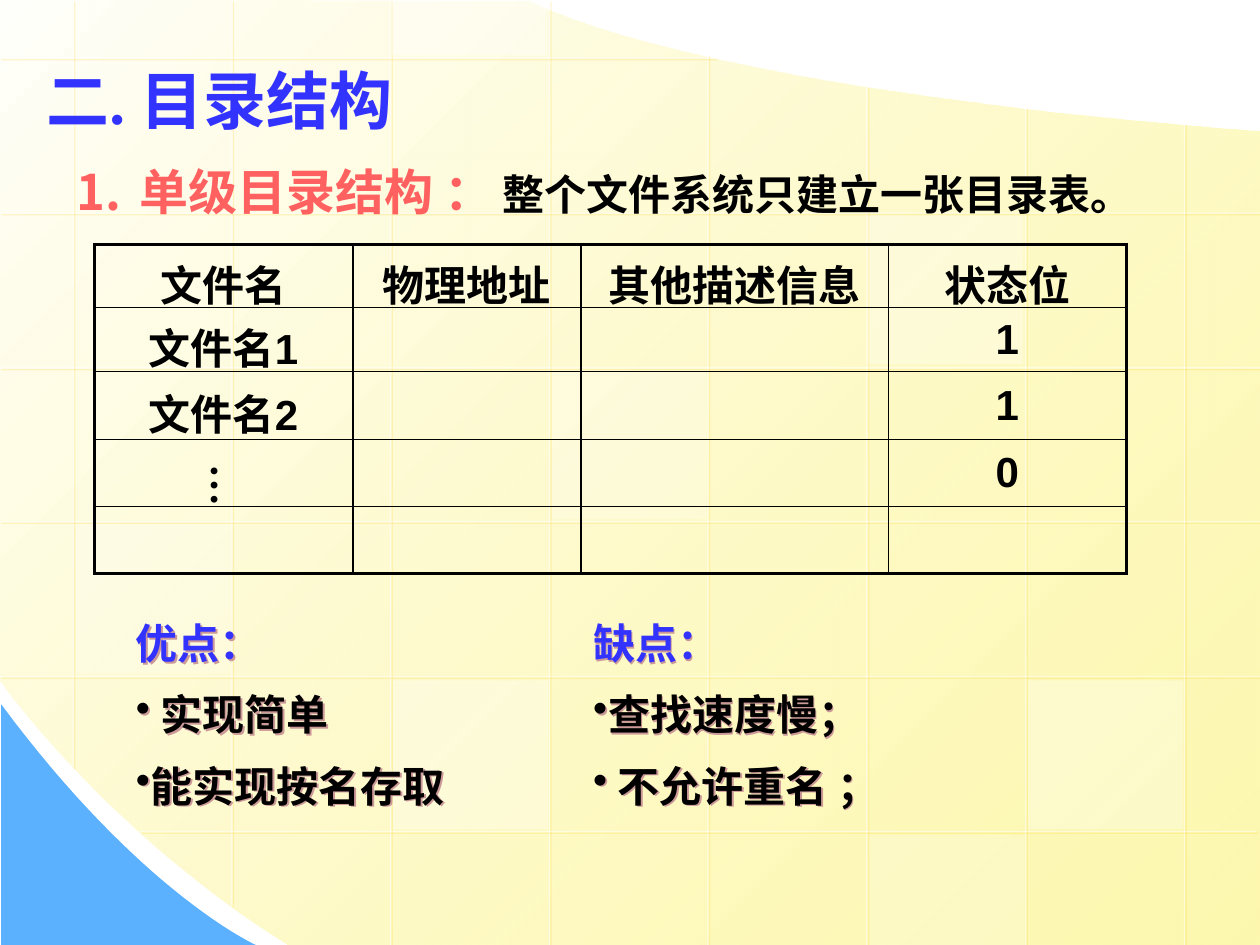
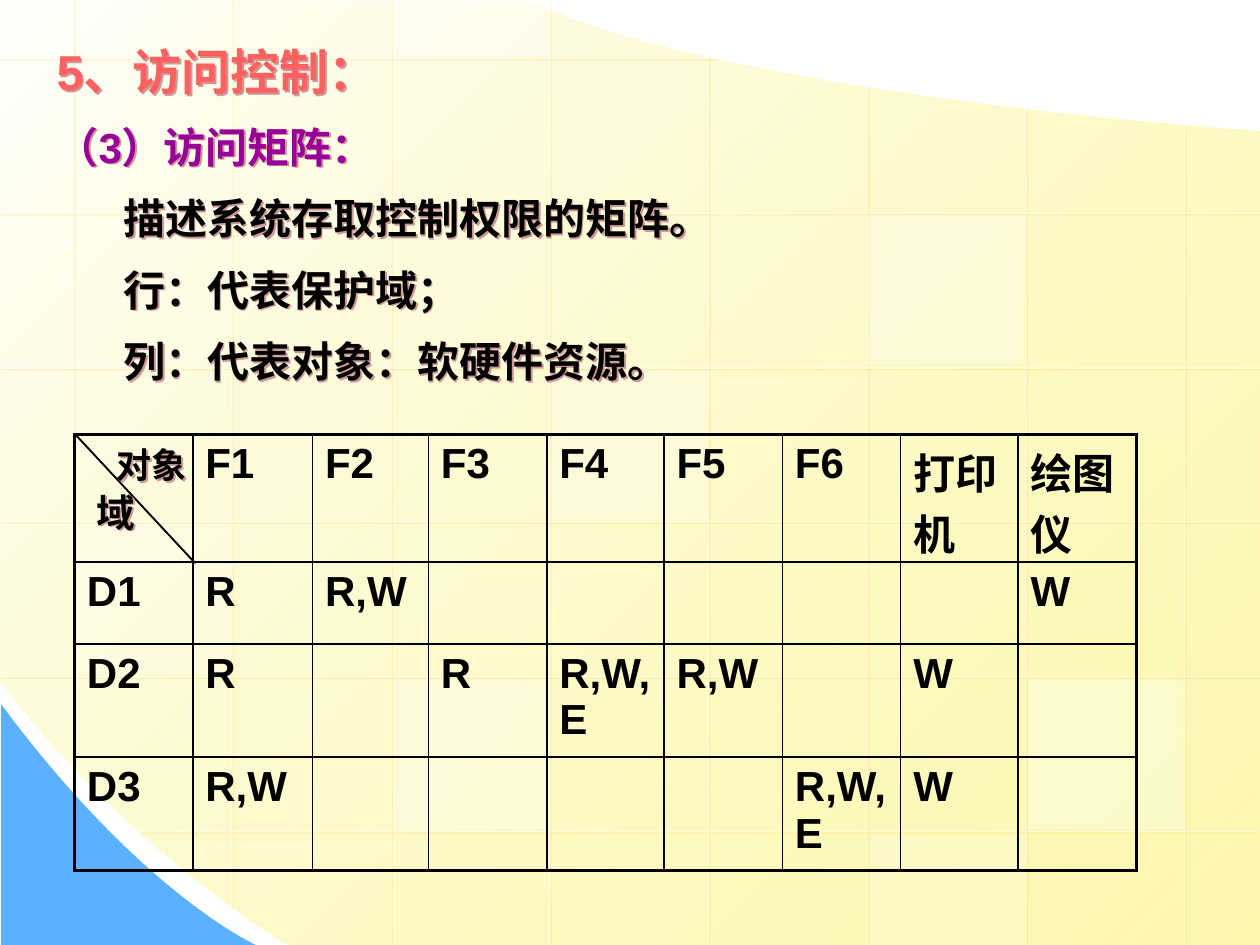
"""Build two slides on single-level file directories and the access matrix."""
from itertools import product

from pptx import Presentation
from pptx.dml.color import RGBColor
from pptx.enum.shapes import MSO_CONNECTOR, MSO_SHAPE
from pptx.enum.text import MSO_ANCHOR, MSO_AUTO_SIZE, PP_ALIGN
from pptx.oxml import parse_xml
from pptx.oxml.ns import nsdecls, qn
from pptx.util import Pt

PX = 9144
STRAIGHT = MSO_CONNECTOR.STRAIGHT
RECTANGLE = MSO_SHAPE.RECTANGLE
FIT_SHAPE = MSO_AUTO_SIZE.SHAPE_TO_FIT_TEXT
TOP, MIDDLE = MSO_ANCHOR.TOP, MSO_ANCHOR.MIDDLE
LEFT, CENTER = PP_ALIGN.LEFT, PP_ALIGN.CENTER


class Theme:
    black = "000000"
    white = "FFFFFF"
    blue = "3333FF"
    coral = "FF6161"
    purple = "990099"
    sky = "5CB1FE"
    cream = "FFFFFB"
    yellow = "FDF58D"
    gold = "FFCC00"
    text_shadow = "CC9999"
    sans = "Arial"
    serif = "Times New Roman"
    title = 36
    heading = 28
    body = 24
    domain_label = 22
    object_label = 20
    paragraph_gap_percent = 50
    outer_border = 2.25
    inner_border = 1


def cast_shadow(shape, color, alpha):
    """Give a shape a short diagonal shadow."""
    shape._element.spPr.append(parse_xml(
        f'<a:effectLst {nsdecls("a")}><a:outerShdw dist="17960" dir="2700000" '
        f'algn="ctr" rotWithShape="0"><a:srgbClr val="{color}">'
        f'<a:alpha val="{alpha * 1000}"/></a:srgbClr></a:outerShdw></a:effectLst>'))


def add_text(slide, box, face, paragraphs, shadowed):
    """Add a text box of (runs, bullet XML, left margin, first indent) paragraphs."""
    text_box = slide.shapes.add_textbox(*(v * PX for v in box))
    frame = text_box.text_frame
    frame.word_wrap = True
    frame.auto_size = FIT_SHAPE
    for index, (runs, bullet, margin, indent) in enumerate(paragraphs):
        paragraph = frame.add_paragraph() if index else frame.paragraphs[0]
        properties = paragraph._p.get_or_add_pPr()
        properties.set("marL", str(margin * PX))
        properties.set("indent", str(indent * PX))
        if index:
            properties.append(parse_xml(
                f'<a:spcBef {nsdecls("a")}><a:spcPct '
                f'val="{Theme.paragraph_gap_percent * 1000}"/></a:spcBef>'))
        if bullet:
            properties.append(parse_xml(bullet))
        for text, size, color in runs:
            run = paragraph.add_run()
            run.text = text
            run.font.name = face
            run.font.size = Pt(size)
            run.font.bold = True
            run.font.color.rgb = RGBColor.from_string(color)
    if shadowed:
        cast_shadow(text_box, Theme.text_shadow, 100)
    return frame


DOT = f'<a:buChar {nsdecls("a")} char="•"/>'
NUMBER = f'<a:buAutoNum {nsdecls("a")} type="arabicPeriod"/>'

panel_outline = [(1000, 104), (1000, 750), (230, 750),
                 (86, 661, -1, 539, 0, 539), (-1, -1), (421, 1),
                 (421, 1, 537, 69, 1000, 104)]
corner_outline = [(1, 559), (1, 750), (203, 750), (203, 750, 112, 709, 1, 559)]

column_spans = [(0, 609), (0, 719), (0, 750), (0, 752),
                (43, 752), (68, 752), (85, 752), (98, 752)]
row_spans = [(568, 0), (1001, 0), (1001, 0), (1001, 0), (1001, 0), (997, 111)]
grid_lines = [(58 + 126 * i, top, 58 + 126 * i, bottom)
              for i, (top, bottom) in enumerate(column_spans)]
grid_lines += [(start, round(46 + 122.8 * i), end, round(46 + 122.8 * i))
               for i, (start, end) in enumerate(row_spans)]
tiles = [(438, 294, 118, 25), (816, 540, 118, 30), (60, 416, 118, 20),
         (690, 663, 87, 20), (311, 0, 44, 40), (312, 540, 118, 30),
         (689, 171, 118, 30)]

prs = Presentation()
prs.slide_width, prs.slide_height = 1000 * PX, 750 * PX
directory_slide, matrix_slide = (
    prs.slides.add_slide(prs.slide_layouts[6]) for _ in range(2))

for slide in (directory_slide, matrix_slide):
    for outline in (panel_outline, corner_outline):
        points = [outline[0]]
        for segment in outline[1:]:
            if len(segment) == 2:
                points.append(segment)
                continue
            x0, y0 = points[-1]
            x1, y1, x2, y2, x3, y3 = segment
            for step in range(1, 33):
                t = step / 32
                a, b, c, d = (1 - t) ** 3, 3 * t * (1 - t) ** 2, 3 * t * t * (1 - t), t ** 3
                points.append((a * x0 + b * x1 + c * x2 + d * x3,
                               a * y0 + b * y1 + c * y2 + d * y3))
        points = [(round(x * PX), round(y * PX)) for x, y in points]
        builder = slide.shapes.build_freeform(*points[0])
        builder.add_line_segments(points[1:])
        backdrop = builder.convert_to_shape()
        backdrop.shadow.inherit = False
        backdrop.line.fill.background()
        if outline is panel_outline:
            backdrop.fill.gradient()
            backdrop.fill.gradient_angle = 315
            for stop, color in zip(backdrop.fill.gradient_stops,
                                   (Theme.cream, Theme.yellow)):
                stop.color.rgb = RGBColor.from_string(color)
            end_color = list(backdrop._element.spPr.iter(qn("a:srgbClr")))[-1]
            end_color.append(parse_xml(f'<a:alpha {nsdecls("a")} val="70000"/>'))
        else:
            backdrop.fill.solid()
            backdrop.fill.fore_color.rgb = RGBColor.from_string(Theme.sky)

    for ends in grid_lines:
        grid_line = slide.shapes.add_connector(STRAIGHT, *(v * PX for v in ends))
        grid_line.line.width = Pt(0.75)
        grid_line.line.color.rgb = RGBColor.from_string(Theme.white)
        line_color = next(grid_line._element.spPr.iter(qn("a:srgbClr")))
        line_color.append(parse_xml(f'<a:alpha {nsdecls("a")} val="50000"/>'))
        cast_shadow(grid_line, Theme.gold, 34)

    for x, y, height, alpha in tiles:
        tile = slide.shapes.add_shape(RECTANGLE, x * PX, y * PX, 123 * PX, height * PX)
        tile.shadow.inherit = False
        tile.line.fill.background()
        tile.fill.solid()
        tile.fill.fore_color.rgb = RGBColor.from_string(Theme.white)
        tile_color = next(tile._element.spPr.iter(qn("a:srgbClr")))
        tile_color.append(parse_xml(f'<a:alpha {nsdecls("a")} val="{alpha * 1000}"/>'))

directory_entries = [["文件名", "物理地址", "其他描述信息", "状态位"],
                     ["文件名1", "", "", "1"],
                     ["文件名2", "", "", "1"],
                     ["", "", "", "0"],
                     ["", "", "", ""]]
access_rights = [["", "F1", "F2", "F3", "F4", "F5", "F6", "打印机", "绘图仪"],
                 ["D1", "R", "R,W", "", "", "", "", "", "W"],
                 ["D2", "R", "", "R", "R,W,E", "R,W", "", "W", ""],
                 ["D3", "R,W", "", "", "", "", "R,W,E", "W", ""]]
tables = [
    (directory_slide, 75, 194, [205, 181, 244, 189], [50, 51, 54, 53, 53],
     directory_entries, CENTER, MIDDLE),
    (matrix_slide, 59, 345, [94, 95, 92, 94, 93, 94, 94, 93, 94], [101, 65, 90, 90],
     access_rights, LEFT, TOP),
]
for slide, x, y, widths, heights, entries, alignment, anchor in tables:
    table = slide.shapes.add_table(
        len(heights), len(widths), x * PX, y * PX,
        sum(widths) * PX, sum(heights) * PX).table
    table.first_row = table.horz_banding = False
    for column, width in zip(table.columns, widths):
        column.width = width * PX
    for row, height in zip(table.rows, heights):
        row.height = height * PX
    last_row, last_column = len(heights) - 1, len(widths) - 1
    for r, c in product(range(len(heights)), range(len(widths))):
        cell = table.cell(r, c)
        cell.vertical_anchor = anchor
        outer_sides = {"L": c == 0, "R": c == last_column, "T": r == 0, "B": r == last_row}
        for side, is_outer in outer_sides.items():
            weight = Pt(Theme.outer_border if is_outer else Theme.inner_border)
            cell._tc.get_or_add_tcPr().append(parse_xml(
                f'<a:ln{side} {nsdecls("a")} w="{weight}"><a:solidFill>'
                f'<a:srgbClr val="{Theme.black}"/></a:solidFill></a:ln{side}>'))
        cell.fill.background()
        if entries[r][c]:
            if not entries[r][c].isascii():
                cell.margin_bottom = -6 * PX
            paragraph = cell.text_frame.paragraphs[0]
            paragraph.alignment = alignment
            run = paragraph.add_run()
            run.text = entries[r][c]
            run.font.name = Theme.sans
            run.font.size = Pt(Theme.body)
            run.font.bold = True
            run.font.color.rgb = RGBColor.from_string(Theme.black)

add_text(directory_slide, (27, 44, 756, 70), Theme.serif,
         [([("二. 目录结构", Theme.title, Theme.blue)], None, 0, 0)], False)
add_text(directory_slide, (51, 123, 890, 57), Theme.serif,
         [([("单级目录结构 ：", Theme.heading, Theme.coral),
            (" ", Theme.body, Theme.coral),
            ("整个文件系统只建立一张目录表。", Theme.body, Theme.black)],
           NUMBER, 50, -50)], False)
more_files = add_text(directory_slide, (146, 359, 60, 43), Theme.serif,
                      [([("…", Theme.body, Theme.black)], None, 0, 0)], False)
more_files.word_wrap = False
more_files._txBody.bodyPr.set("vert", "eaVert")

assessments = [(98, 315, "优点：", [" 实现简单", "能实现按名存取"]),
               (461, 370, "缺点：", ["查找速度慢；", " 不允许重名 ；"])]
for x, width, heading, points in assessments:
    add_text(directory_slide, (x, 485, width, 170), Theme.sans,
             [([(heading, Theme.body, Theme.blue)], None, 0, 0)]
             + [([(point, Theme.body, Theme.black)], DOT, 0, 0) for point in points],
             True)

matrix_notes = ["描述系统存取控制权限的矩阵。", "行：代表保护域；", "列：代表对象：软硬件资源。"]
add_text(matrix_slide, (35, 28, 929, 296), Theme.sans,
         [([("5、访问控制：", Theme.heading, Theme.coral)], None, 0, 0),
          ([("（3）访问矩阵：", Theme.body, Theme.purple)], None, 0, 0)]
         + [([(note, Theme.body, Theme.black)], None, 53, 0) for note in matrix_notes],
         True)

header_diagonal = matrix_slide.shapes.add_connector(
    STRAIGHT, 59 * PX, 344 * PX, 154 * PX, 446 * PX)
header_diagonal.line.width = Pt(Theme.inner_border)
header_diagonal.line.color.rgb = RGBColor.from_string(Theme.black)
cast_shadow(header_diagonal, Theme.black, 50)
axis_labels = [("对象", (83, 347, 110, 43), Theme.object_label),
               ("域", (67, 383, 63, 47), Theme.domain_label)]
for label, box, size in axis_labels:
    add_text(matrix_slide, box, Theme.sans,
             [([(label, size, Theme.black)], None, 0, 0)], True)

prs.save("out.pptx")
